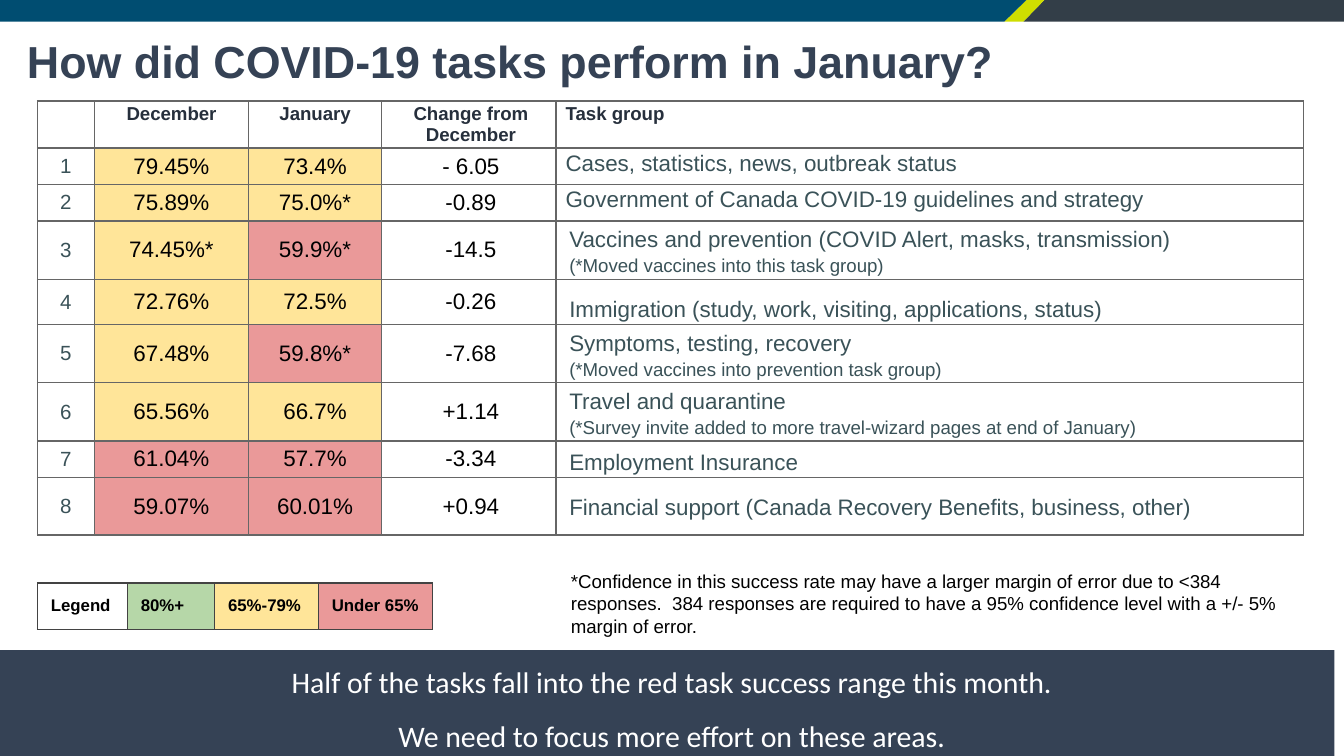
import pptx
import pptx.dml.color
import pptx.enum.shapes
import pptx.enum.text
import pptx.oxml
import pptx.oxml.ns
import pptx.util

Cm, Pt = pptx.util.Cm, pptx.util.Pt
RGBColor = pptx.dml.color.RGBColor
ALIGN = pptx.enum.text.PP_ALIGN
ANCHOR = pptx.enum.text.MSO_ANCHOR

NAVY = RGBColor(0x35, 0x42, 0x55)
BLUE = RGBColor(0x00, 0x4D, 0x71)
LIME = RGBColor(0xCF, 0xDE, 0x00)
CHARCOAL = RGBColor(0x33, 0x3E, 0x48)
HEADER_INK = RGBColor(0x26, 0x2F, 0x3C)
TASK_INK = RGBColor(0x3A, 0x52, 0x58)
BLACK = RGBColor(0x00, 0x00, 0x00)
WHITE = RGBColor(0xFF, 0xFF, 0xFF)
GREEN = RGBColor(0xB6, 0xD7, 0xA8)
AMBER = RGBColor(0xFF, 0xE5, 0x99)
RED = RGBColor(0xEA, 0x99, 0x99)
GRID_LINE = RGBColor(0x66, 0x66, 0x66)
LEGEND_LINE = RGBColor(0x43, 0x43, 0x43)

SLIDE_WIDTH, SLIDE_HEIGHT = Cm(25.4), Cm(14.29)
ROW_HEIGHT = 0.69

HEADINGS = ["", "December", "January", "Change from December", "Task group"]
# December, January, change, task group, remark, anchor of the task, row height
TASKS = [
    ("79.45%", "73.4%", "- 6.05", "Cases, statistics, news, outbreak status",
     "", ANCHOR.TOP, ROW_HEIGHT),
    ("75.89%", "75.0%*", "-0.89", "Government of Canada COVID-19 guidelines and strategy",
     "", ANCHOR.TOP, ROW_HEIGHT),
    ("74.45%*", "59.9%*", "-14.5", "Vaccines and prevention (COVID Alert, masks, transmission)",
     "(*Moved vaccines into this task group)", ANCHOR.BOTTOM, ROW_HEIGHT),
    ("72.76%", "72.5%", "-0.26", "Immigration (study, work, visiting, applications, status)",
     "", ANCHOR.BOTTOM, 0.86),
    ("67.48%", "59.8%*", "-7.68", "Symptoms, testing, recovery",
     "(*Moved vaccines into prevention task group)", ANCHOR.BOTTOM, ROW_HEIGHT),
    ("65.56%", "66.7%", "+1.14", "Travel and quarantine",
     "(*Survey invite added to more travel-wizard pages at end of January)",
     ANCHOR.BOTTOM, ROW_HEIGHT),
    ("61.04%", "57.7%", "-3.34", "Employment Insurance", "", ANCHOR.BOTTOM, ROW_HEIGHT),
    ("59.07%", "60.01%", "+0.94", "Financial support (Canada Recovery Benefits, business, other)",
     "", ANCHOR.MIDDLE, 1.09),
]
LEGEND = [("Legend", None), ("80%+", GREEN), ("65%-79%", AMBER), ("Under 65%", RED)]
CONCLUSIONS = ["Half of the tasks fall into the red task success range this month.",
               "We need to focus more effort on these areas."]
FOOTNOTE = ("*Confidence in this success rate may have a larger margin of error due to <384 "
            "responses.  384 responses are required to have a 95% confidence level with "
            "a +/- 5% margin of error.")


def add_run(paragraph, text, size, color, bold=False, font="Arial"):
    run = paragraph.add_run()
    run.text = text
    run.font.name, run.font.size, run.font.bold = font, Pt(size), bold
    run.font.color.rgb = color


def set_margins(holder, left, top, right, bottom):
    """Set the insets, in centimetres, of a text frame or table cell."""
    holder.margin_left, holder.margin_top = Cm(left), Cm(top)
    holder.margin_right, holder.margin_bottom = Cm(right), Cm(bottom)


def rate_color(rate):
    """Match a success rate to its legend colour."""
    value = float(rate.rstrip("%*"))
    return GREEN if value >= 80 else AMBER if value >= 65 else RED


def style_cell(cell, line_color, fill=None):
    properties = cell._tc.get_or_add_tcPr()
    for side in ("lnL", "lnR", "lnT", "lnB"):
        properties.append(pptx.oxml.parse_xml(
            f'<a:{side} {pptx.oxml.ns.nsdecls("a")} w="{Pt(0.75)}"><a:solidFill>'
            f'<a:srgbClr val="{line_color}"/></a:solidFill></a:{side}>'))
    if fill is None:
        cell.fill.background()
    else:
        cell.fill.solid()
        cell.fill.fore_color.rgb = fill


def add_plain_table(slide, left, top, widths, heights):
    """Add a table without a header style or bands; lengths in centimetres."""
    table = slide.shapes.add_table(len(heights), len(widths), left, top,
                                   Cm(sum(widths)), Cm(sum(heights))).table
    table.first_row = table.horz_banding = False
    for column, width in zip(table.columns, widths):
        column.width = Cm(width)
    for row, height in zip(table.rows, heights):
        row.height = Cm(height)
    return table


def add_banner(slide, left, top, width, height):
    """Draw the top strip, cut by slanted edges."""
    right, bottom = left + width, top + height
    blue_top, blue_bottom = left + Cm(19.4), left + Cm(18.98)
    lime_top, lime_bottom = left + Cm(19.74), left + Cm(19.34)
    strips = [(CHARCOAL, lime_top, right, right, lime_bottom),
              (LIME, blue_top, lime_top, lime_bottom, blue_bottom),
              (BLUE, left, blue_top, blue_bottom, left)]
    for color, top_left, top_right, bottom_right, bottom_left in strips:
        builder = slide.shapes.build_freeform(top_left, top)
        builder.add_line_segments([(top_right, top), (bottom_right, bottom),
                                   (bottom_left, bottom)])
        strip = builder.convert_to_shape()
        strip.shadow.inherit = False
        strip.fill.solid()
        strip.fill.fore_color.rgb = color
        strip.line.fill.background()


def set_title(slide, left, top, width, height):
    title = slide.shapes.title
    title.left, title.top, title.width, title.height = left, top, width, height
    frame = title.text_frame
    frame.word_wrap = True
    frame.auto_size = pptx.enum.text.MSO_AUTO_SIZE.NONE
    frame.vertical_anchor = ANCHOR.TOP
    set_margins(frame, 0.05, 0.05, 0.05, 0.05)
    paragraph = frame.paragraphs[0]
    paragraph.alignment, paragraph.line_spacing = ALIGN.LEFT, 1.15
    add_run(paragraph, "How did COVID-19 tasks perform in January?", 24, NAVY, bold=True)


def add_task_table(slide, left, top):
    heights = [ROW_HEIGHT] + [task[-1] for task in TASKS]
    table = add_plain_table(slide, left, top, [1.07, 2.92, 2.51, 3.3, 14.12], heights)

    for column, heading in enumerate(HEADINGS):
        cell = table.cell(0, column)
        style_cell(cell, GRID_LINE)
        set_margins(cell, 0.1 if column < 3 else 0.18, 0.05, 0.1, 0.05)
        paragraph = cell.text_frame.paragraphs[0]
        paragraph.alignment = ALIGN.LEFT if column == 4 else ALIGN.CENTER
        if heading:
            add_run(paragraph, heading, 10, HEADER_INK, bold=True)

    for number, (december, january, change, task, remark, anchor, _) in enumerate(TASKS, 1):
        figures = [(str(number), 11, TASK_INK, None, 0.1),
                   (december, 12, BLACK, rate_color(december), 0.1),
                   (january, 12, BLACK, rate_color(january), 0.1),
                   (change, 12, BLACK, None, 0.18)]
        for column, (figure, size, ink, fill, inset) in enumerate(figures):
            cell = table.cell(number, column)
            style_cell(cell, GRID_LINE, fill)
            set_margins(cell, inset, 0.05, 0.1, 0.05)
            cell.vertical_anchor = ANCHOR.MIDDLE
            paragraph = cell.text_frame.paragraphs[0]
            paragraph.alignment = ALIGN.CENTER
            add_run(paragraph, figure, size, ink)

        cell = table.cell(number, 4)
        style_cell(cell, GRID_LINE)
        cell.vertical_anchor = anchor
        paragraph = cell.text_frame.paragraphs[0]
        if anchor == ANCHOR.TOP:
            set_margins(cell, 0.18, 0.05, 0.1, 0.05)
        else:
            set_margins(cell, 0.25, 0.05, 0.25, 0.05)
            paragraph.line_spacing = 1.15
        add_run(paragraph, task, 12, TASK_INK)
        if remark:
            paragraph.add_line_break()
            add_run(paragraph, remark, 10, TASK_INK)


def add_legend(slide, left, top):
    table = add_plain_table(slide, left, top, [1.7, 1.65, 1.96, 2.16], [0.74])
    for column, (label, fill) in enumerate(LEGEND):
        cell = table.cell(0, column)
        style_cell(cell, LEGEND_LINE, fill)
        set_margins(cell, 0.25, 0.25, 0.25, 0.25)
        add_run(cell.text_frame.paragraphs[0], label, 9, BLACK, bold=True)


def add_text_frame(slide, left, top, width, height):
    frame = slide.shapes.add_textbox(left, top, width, height).text_frame
    frame.word_wrap = True
    set_margins(frame, 0.25, 0.25, 0.25, 0.25)
    return frame


def add_footnote(slide, left, top, width, height):
    frame = add_text_frame(slide, left, top, width, height)
    add_run(frame.paragraphs[0], FOOTNOTE, 10, BLACK)


def add_conclusion(slide, left, top, width, height):
    """Place the closing message on its dark band."""
    band = slide.shapes.add_group_shape()
    for offset, panel_width in [(Cm(-0.18), width), (Cm(4.45), Cm(16.13))]:
        panel = band.shapes.add_shape(pptx.enum.shapes.MSO_SHAPE.RECTANGLE,
                                      left + offset, top, panel_width, height)
        panel.shadow.inherit = False
        panel.fill.solid()
        panel.fill.fore_color.rgb = NAVY
        panel.line.fill.background()
    frame = add_text_frame(slide, left, top, width, height)
    for index, sentence in enumerate(CONCLUSIONS):
        paragraph = frame.add_paragraph() if index else frame.paragraphs[0]
        paragraph.alignment = ALIGN.CENTER
        if index:
            paragraph.space_before = paragraph.space_after = Pt(10)
        add_run(paragraph, sentence, 16, WHITE, font="Calibri")


def main():
    presentation = pptx.Presentation()
    presentation.slide_width, presentation.slide_height = SLIDE_WIDTH, SLIDE_HEIGHT
    slide = presentation.slides.add_slide(presentation.slide_layouts[5])
    add_banner(slide, 0, 0, SLIDE_WIDTH, Cm(0.41))
    set_title(slide, Cm(0.46), Cm(0.43), Cm(23.65), Cm(1.14))
    add_task_table(slide, Cm(0.71), Cm(1.91))
    add_conclusion(slide, 0, Cm(12.29), SLIDE_WIDTH, Cm(2))
    add_footnote(slide, Cm(10.54), Cm(10.52), Cm(14.55), Cm(1.14))
    add_legend(slide, Cm(0.71), Cm(11.02))
    presentation.save("out.pptx")


if __name__ == "__main__":
    main()
